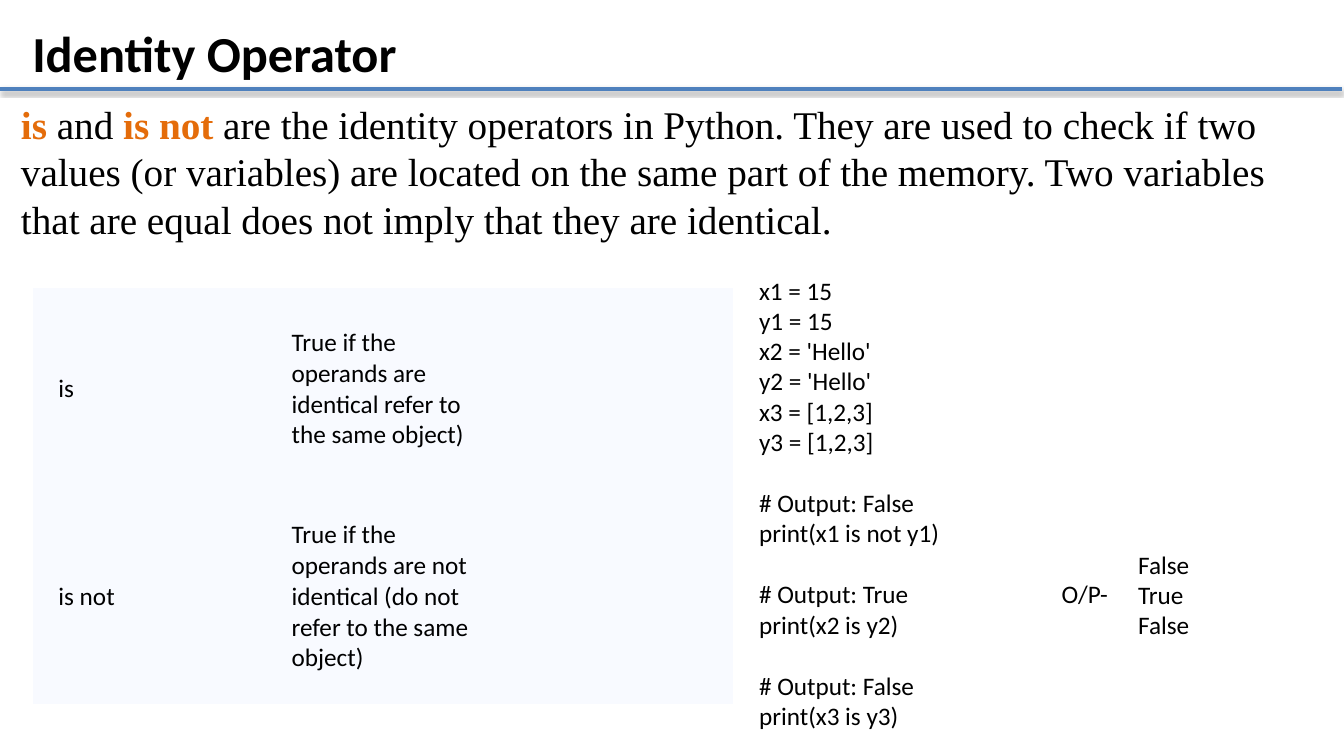
from lxml.etree import SubElement as Sub
from pptx import Presentation
from pptx.dml.color import RGBColor as Rgb
from pptx.enum.shapes import MSO_CONNECTOR as Conn
from pptx.enum.text import MSO_ANCHOR as Anchor, PP_ALIGN as Align
from pptx.oxml.ns import qn
from pptx.util import Inches, Pt

COLORS = {"text": "000000", "key": "E46C0A", "rule": "4F81BD", "cell": "F8FAFF"}
SANS = {"name": "Calibri", "size": Pt(18), "bold": False}
HEAD = {"name": "Calibri", "size": Pt(36), "bold": True}
SERIF = {"name": "Times New Roman", "size": Pt(28), "bold": False}
LINE = Pt(22)

INTRO = [
    ("is", "key"),
    (" and ", "text"),
    ("is not", "key"),
    (" are the identity operators in Python. They are used to check if two values "
     "(or variables) are located on the same part of the memory. Two variables that "
     "are equal does not imply that they are identical.", "text"),
]
ROWS = [
    ("is", "True if the operands are identical refer to the same object)", 2),
    ("is not", "True if the operands are not identical (do not refer to the same object)", 2.12),
]
CODE = [
    ["x1 = 15", "y1 = 15", "x2 = 'Hello'", "y2 = 'Hello'", "x3 = [1,2,3]", "y3 = [1,2,3]"],
    ["# Output: False", "print(x1 is not y1)"],
    ["# Output: True\tO/P-", "print(x2 is y2)"],
    ["# Output: False", "print(x3 is y3)"],
]
RESULT = [["False", "True", "False"]]


def style(font, form, color="text"):
    for key, val in form.items():
        setattr(font, key, val)
    font.color.rgb = Rgb.from_string(COLORS[color])


def write(para, text, form, color="text"):
    run = para.add_run()
    run.text = text
    style(run.font, form, color)


def add_box(slide, box):
    frame = slide.shapes.add_textbox(*map(Inches, box)).text_frame
    frame.word_wrap = True
    return frame


def add_title(slide, box, text):
    title = slide.shapes.title
    title.left, title.top, title.width, title.height = map(Inches, box)
    frame = title.text_frame
    frame.vertical_anchor = Anchor.TOP
    para = frame.paragraphs[0]
    para.alignment = Align.LEFT
    write(para, text, HEAD)


def add_rule(slide, left, top, width):
    ends = map(Inches, (left, top, left + width, top))
    rule = slide.shapes.add_connector(Conn.STRAIGHT, *ends)
    rule.line.color.rgb = Rgb.from_string(COLORS["rule"])
    rule.line.width = Pt(3)
    effect = Sub(rule.line._get_or_add_ln().getparent(), qn("a:effectLst"))
    shade = Sub(effect, qn("a:outerShdw"), blurRad="40000", dist="23000",
                dir="5400000", rotWithShape="0")
    tint = Sub(shade, qn("a:srgbClr"), val=COLORS["text"])
    Sub(tint, qn("a:alpha"), val="35000")


def add_intro(slide, box):
    para = add_box(slide, box).paragraphs[0]
    for text, color in INTRO:
        write(para, text, {**SERIF, "bold": color == "key"}, color)


def fill_cell(cell, text):
    props = cell._tc.get_or_add_tcPr()
    for side in ("lnL", "lnR", "lnT", "lnB"):
        Sub(Sub(props, qn(f"a:{side}"), w="0"), qn("a:noFill"))
    cell.fill.solid()
    cell.fill.fore_color.rgb = Rgb.from_string(COLORS["cell"])
    cell.vertical_anchor = Anchor.MIDDLE
    cell.margin_left = cell.margin_right = Inches(0.25)
    cell.margin_top = cell.margin_bottom = Inches(0.12)
    if text:
        write(cell.text_frame.paragraphs[0], text, SANS)


def add_grid(slide, box):
    table = slide.shapes.add_table(len(ROWS), 3, *map(Inches, box)).table
    table.first_row = table.horz_banding = False
    for col in table.columns:
        col.width = Inches(box[2] / 3)
    for row, (name, note, height) in zip(table.rows, ROWS):
        row.height = Inches(height)
        for cell, text in zip(row.cells, (name, note, "")):
            fill_cell(cell, text)


def add_lines(slide, box, groups):
    frame = add_box(slide, box)
    para = frame.paragraphs[0]
    for g, group in enumerate(groups):
        for n, text in enumerate(group):
            if g or n:
                para = frame.add_paragraph()
            if g and not n:
                para.space_before = LINE
            if "\t" in text:
                tabs = Sub(para._p.get_or_add_pPr(), qn("a:tabLst"))
                Sub(tabs, qn("a:tab"), pos=str(Inches(3)), algn="l")
            write(para, text, SANS)


def main():
    deck = Presentation()
    deck.slide_width, deck.slide_height = Inches(13.33), Inches(7.5)
    slide = deck.slides.add_slide(deck.slide_layouts[5])
    add_rule(slide, 0, 0.88, 13.31)
    add_title(slide, (0.22, 0.17, 6.55, 0.71), "Identity Operator")
    add_intro(slide, (0.11, 0.95, 13.04, 1.5))
    add_grid(slide, (0.33, 2.86, 6.94, 4.12))
    add_lines(slide, (7.43, 2.68, 5.52, 4.64), CODE)
    add_lines(slide, (11.19, 5.4, 1.25, 1.01), RESULT)
    deck.save("out.pptx")


if __name__ == "__main__":
    main()
